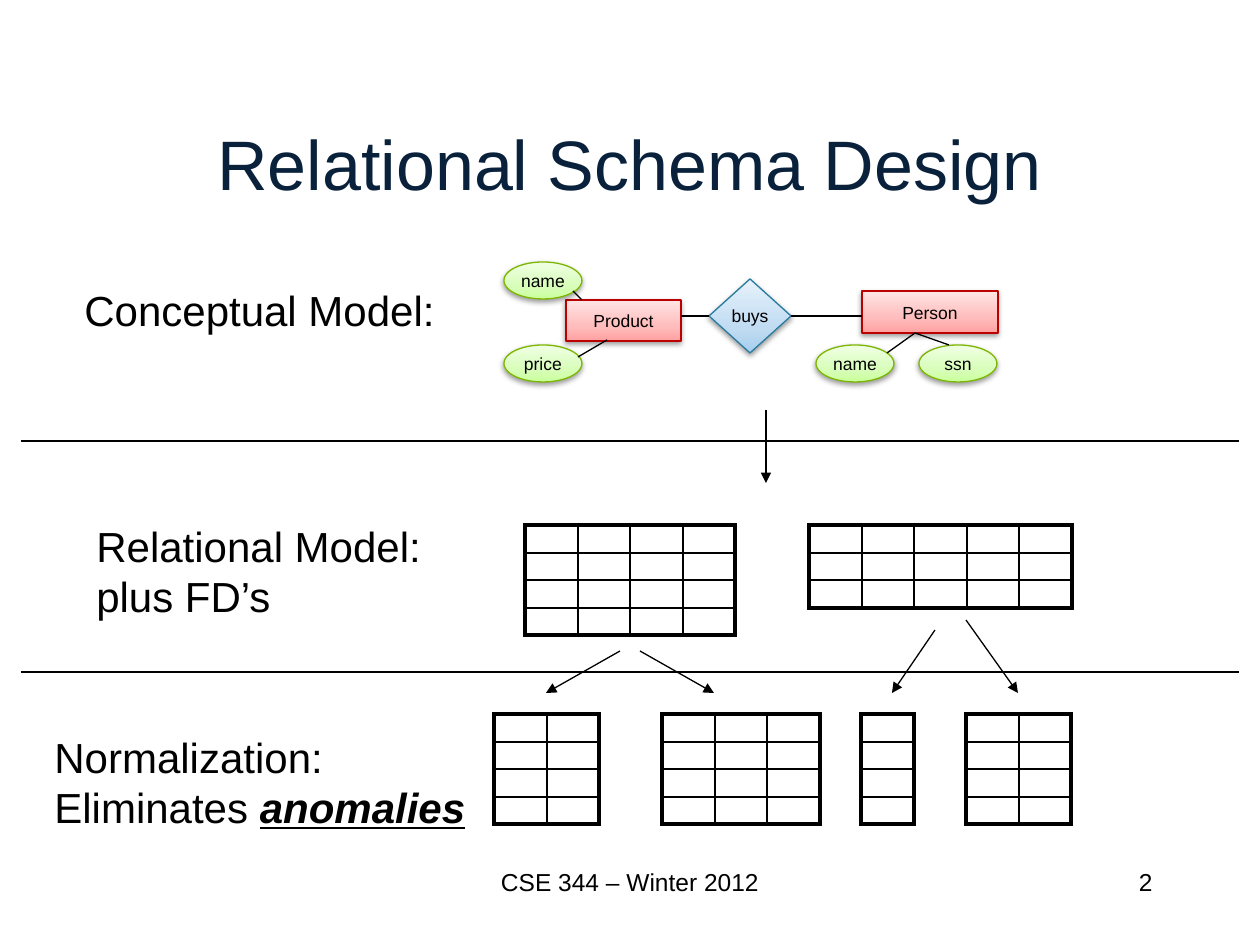
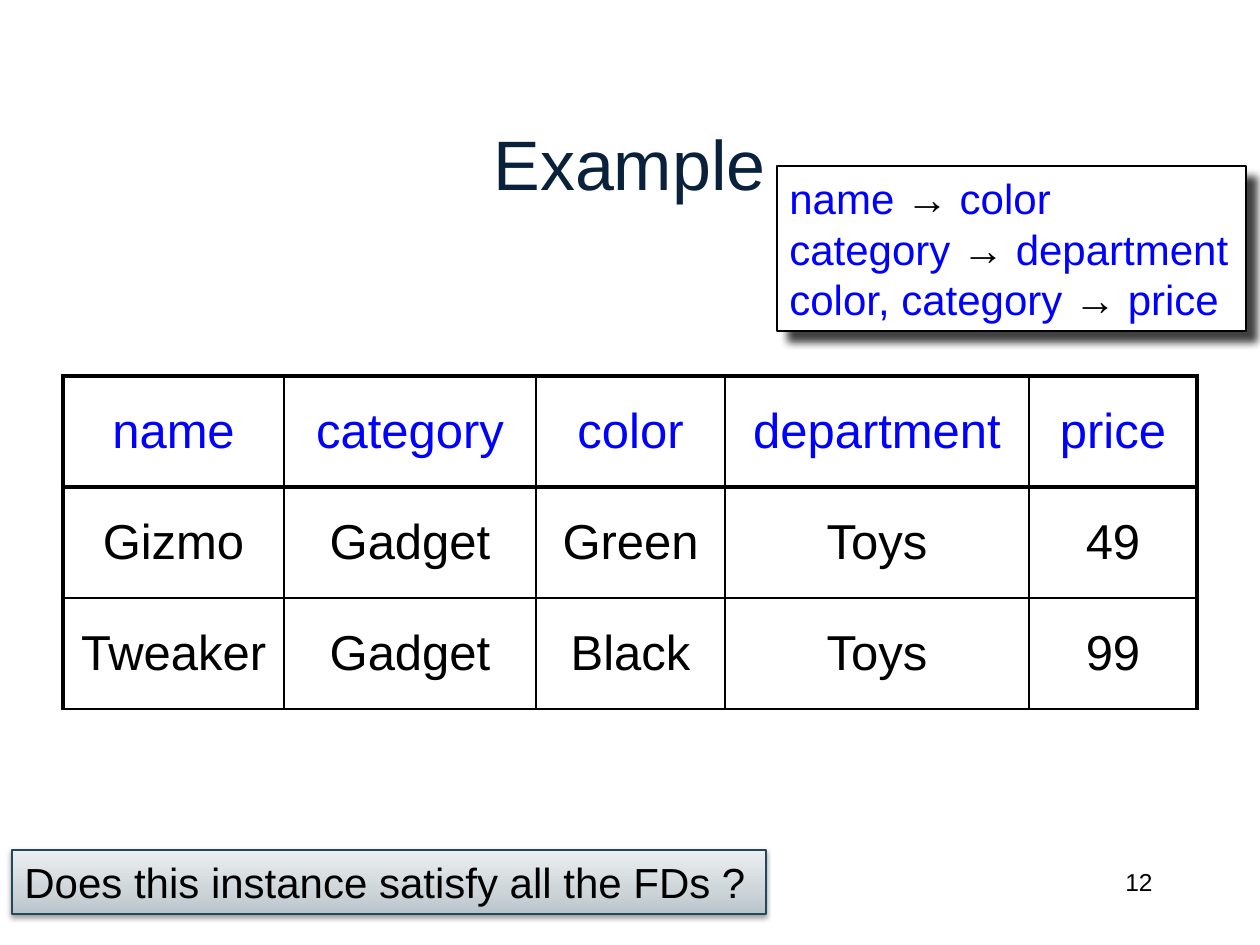
from copy import deepcopy

from lxml.etree import SubElement
from pptx import Presentation
from pptx.dml.color import RGBColor
from pptx.enum.shapes import MSO_CONNECTOR, MSO_SHAPE as SHAPE
from pptx.enum.text import MSO_ANCHOR as ANCHOR, PP_ALIGN as ALIGN
from pptx.oxml.ns import qn
from pptx.util import Emu, Pt

PX = 914400 / 126
FONT = "Arial"
BLACK, WHITE, BLUE, NAVY = "000000", "FFFFFF", "0000FF", "09213B"
PINK = ("BC0000", "FFA0A0", "FFBCBC", "FFE5E5")
SKY = ("287A9E", "A6CEEE", "C1DCF2", "E7F2FB")
GREEN = ("7DB602", "C9FF9C", "D8FEBA", "F0FFE4")
GREY = ("224957", "B8C3CA", "CDD5D9", "ECEFF1")
PLAIN = (BLACK, WHITE)
SOFT = (38, 3.1, 1.6, 90)
HARD = (75, 5, 8.5, 45)
colour = RGBColor.from_string


def px(*lengths):
    return [Emu(round(length * PX)) for length in lengths]


def write(frame, lines, size, ink=BLACK, align=ALIGN.LEFT):
    """Fill a text frame; each line is a list of run texts."""
    for number, line in enumerate(lines):
        para = frame.add_paragraph() if number else frame.paragraphs[0]
        para.alignment = align
        para.font.name = FONT
        para.font.size = Pt(size)
        para.font.color.rgb = colour(ink)
        for text in line:
            para.add_run().text = text


deck = Presentation()
deck.slide_width, deck.slide_height = px(1260, 945)
design, example = [deck.slides.add_slide(deck.slide_layouts[6]) for _ in range(2)]

# Titles, page numbers, footer and row labels
TITLE_BOX = (94, 84, 1071, 158)
NUMBER_BOX = (903, 861, 262, 63)
texts = [
    (design, TITLE_BOX, [["Relational Schema Design"]], 40, NAVY, ALIGN.CENTER),
    (example, TITLE_BOX, [["Example"]], 40, NAVY, ALIGN.CENTER),
    (design, NUMBER_BOX, [["2"]], 14, BLACK, ALIGN.RIGHT),
    (example, NUMBER_BOX, [["12"]], 14, BLACK, ALIGN.RIGHT),
    (design, (399, 861, 462, 63), [["CSE 344 – Winter 2012"]], 14, BLACK, ALIGN.CENTER),
    (design, (72, 278, 379, 63), [["Conceptual Model:"]], 24, BLACK, ALIGN.LEFT),
    (design, (84, 514, 353, 115), [["Relational Model:"], ["plus FD’s"]], 24, BLACK, ALIGN.LEFT),
    (design, (42, 725, 440, 115), [["Normalization:"], ["Eliminates ", "anomalies"]],
     24, BLACK, ALIGN.LEFT),
]
for page, place, lines, size, ink, align in texts:
    frame = page.shapes.add_textbox(*px(*place)).text_frame
    frame.word_wrap = True
    frame.vertical_anchor = ANCHOR.MIDDLE if place == TITLE_BOX else ANCHOR.TOP
    write(frame, lines, size, ink, align)

anomalies = frame.paragraphs[1].runs[1].font  # the last label is the normalization one
anomalies.bold = anomalies.italic = anomalies.underline = True

# Entity-relationship diagram, question and dependency boxes
dependencies = [[left, "→ ", right] for left, right in (
    ("name ", "color"), ("category ", "department"), ("color, category ", "price"))]
boxes = [
    (design, SHAPE.RECTANGLE, (862, 291, 136, 42), PINK, SOFT, [["Person"]], 10, BLACK),
    (design, SHAPE.DIAMOND, (709, 279, 82, 74), SKY, SOFT, [["buys"]], 10, BLACK),
    (design, SHAPE.RECTANGLE, (566, 300, 115, 41), PINK, SOFT, [["Product"]], 10, BLACK),
]
for left, top, attribute in ((504, 262, "name"), (504, 345, "price"),
                             (816, 345, "name"), (919, 345, "ssn")):
    boxes.append((design, SHAPE.OVAL, (left, top, 78, 37), GREEN, SOFT, [[attribute]], 10, BLACK))
boxes += [
    (example, SHAPE.RECTANGLE, (12, 850, 754, 64), GREY, SOFT,
     [["Does this instance satisfy all the FDs ?"]], 24, BLACK),
    (example, SHAPE.RECTANGLE, (777, 166, 469, 165), PLAIN, HARD, dependencies, 24, BLUE),
]
for page, kind, place, (edge, *shades), (alpha, blur, distance, angle), lines, size, ink in boxes:
    box = page.shapes.add_shape(kind, *px(*place))
    box.line.color.rgb = colour(edge)
    box.line.width = Pt(0.75)
    if len(shades) == 1:
        box.fill.solid()
        box.fill.fore_color.rgb = colour(shades[0])
    else:
        box.fill.gradient()
        box.fill.gradient_angle = 90
        stops = box._element.spPr.find(".//" + qn("a:gsLst"))
        stops.insert(1, deepcopy(stops[0]))
        for stop, shade, position in zip(box.fill.gradient_stops, shades, (0, 0.35, 1)):
            stop.color.rgb = colour(shade)
            stop.position = position

    box.shadow.inherit = False
    effects = box._element.spPr.find(qn("a:effectLst"))
    shadow = SubElement(effects, qn("a:outerShdw"), blurRad=str(Pt(blur)),
                        dist=str(Pt(distance)), dir=str(angle * 60000), rotWithShape="0")
    tone = SubElement(shadow, qn("a:srgbClr"), val=BLACK)
    SubElement(tone, qn("a:alpha"), val=str(alpha * 1000))

    box.text_frame.word_wrap = False
    box.text_frame.vertical_anchor = ANCHOR.MIDDLE
    write(box.text_frame, lines, size, ink, ALIGN.CENTER if size == 10 else ALIGN.LEFT)

for para in box.text_frame.paragraphs:  # the last box lists the dependencies
    para.runs[1].font.color.rgb = colour(BLACK)

# Lines of the diagram, row dividers and arrows
links = [(582, 300, 573, 291), (607, 340, 578, 357), (681, 316, 709, 316),
         (791, 316, 862, 316), (915, 333, 887, 353), (915, 333, 949, 345)]
dividers = [(21, y, 1239, y) for y in (441, 672)]
arrows = [(766, 410, 766, 483), (620, 651, 546, 693), (640, 651, 714, 693),
          (935, 630, 892, 693), (966, 620, 1018, 693)]
for ends in links + dividers + arrows:
    line = design.shapes.add_connector(MSO_CONNECTOR.STRAIGHT, *px(*ends))
    line.line.color.rgb = colour(BLACK)
    line.line.width = Pt(0.75)
    if ends in arrows:
        SubElement(line.line._get_or_add_ln(), qn("a:tailEnd"), type="triangle")
    SubElement(line._element.spPr, qn("a:effectLst"))

# Tables: empty relations on the first slide, the example instance on the second
grids = []
for left, top, columns, rows in ((525, 525, 4, 4), (809, 525, 5, 3), (662, 714, 3, 4),
                                 (861, 714, 1, 4), (966, 714, 2, 4), (494, 714, 2, 4)):
    widths = [53 - column % 2 for column in range(columns)]
    heights = [28 - row % 2 for row in range(rows)]
    grids.append((design, left, top, widths, heights, None, 2.25, 1.5, 2.25))
instance = [
    ["name", "category", "color", "department", "price"],
    ["Gizmo", "Gadget", "Green", "Toys", "49"],
    ["Tweaker", "Gadget", "Black", "Toys", "99"],
]
grids.append((example, 63, 376, [221, 252, 189, 304, 168], [111] * 3, instance, 3, 3, 1))

for page, left, top, widths, heights, values, outer, header, bottom in grids:
    table = page.shapes.add_table(len(heights), len(widths),
                                  *px(left, top, sum(widths), sum(heights))).table
    table.first_row = table.horz_banding = False
    for column, width in zip(table.columns, px(*widths)):
        column.width = width
    for row, height in zip(table.rows, px(*heights)):
        row.height = height

    across = [outer] + [1] * (len(widths) - 1) + [outer]
    down = [outer, header] + [1] * (len(heights) - 2) + [bottom]
    for r in range(len(heights)):
        for c in range(len(widths)):
            cell = table.cell(r, c)
            cell.fill.background()
            if values:
                cell.vertical_anchor = ANCHOR.MIDDLE
                write(cell.text_frame, [[values[r][c]]], 28, BLACK if r else BLUE, ALIGN.CENTER)
            else:
                cell.margin_top = cell.margin_bottom = 0
                SubElement(cell.text_frame.paragraphs[0]._p, qn("a:endParaRPr"), sz="800")
            properties = cell._tc.get_or_add_tcPr()
            borders = (("L", across[c]), ("R", across[c + 1]), ("T", down[r]), ("B", down[r + 1]))
            for order, (side, weight) in enumerate(borders):
                border = SubElement(properties, qn("a:ln" + side), w=str(Pt(weight)))
                SubElement(SubElement(border, qn("a:solidFill")), qn("a:srgbClr"), val=BLACK)
                properties.insert(order, border)

deck.save("out.pptx")
